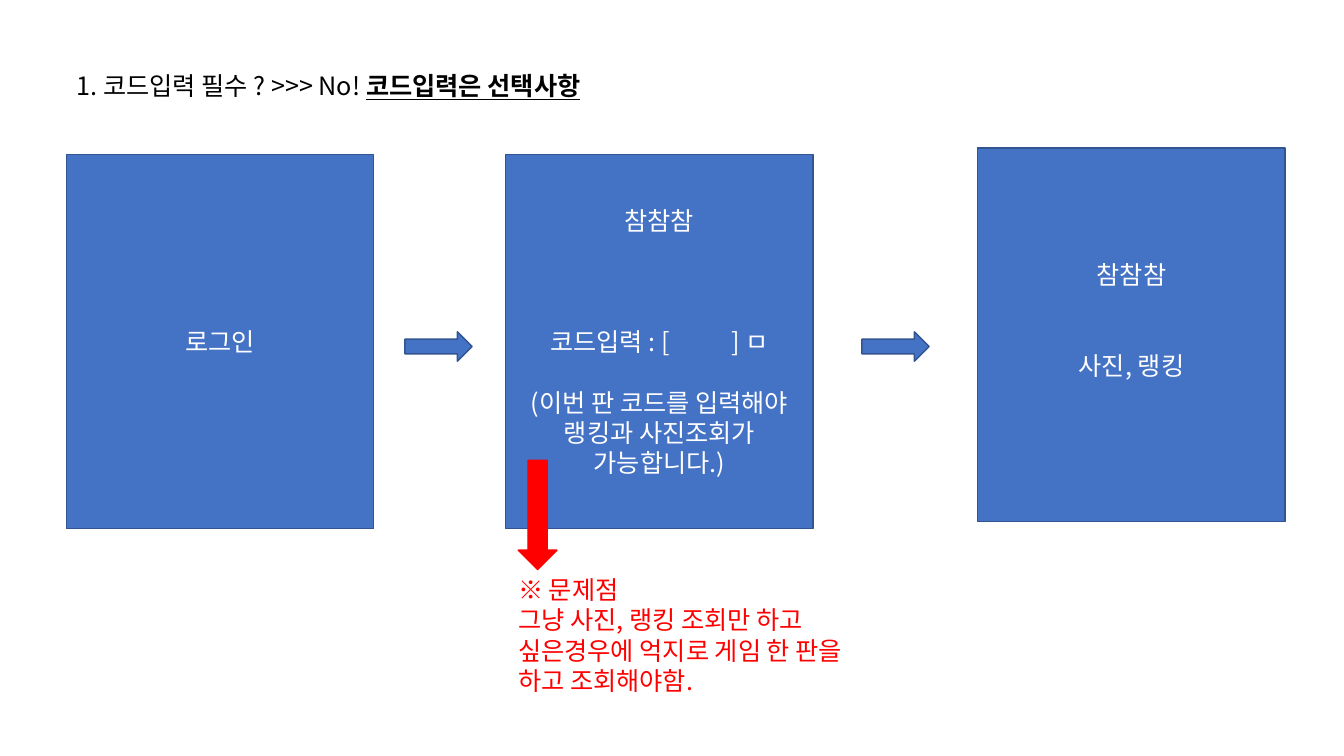
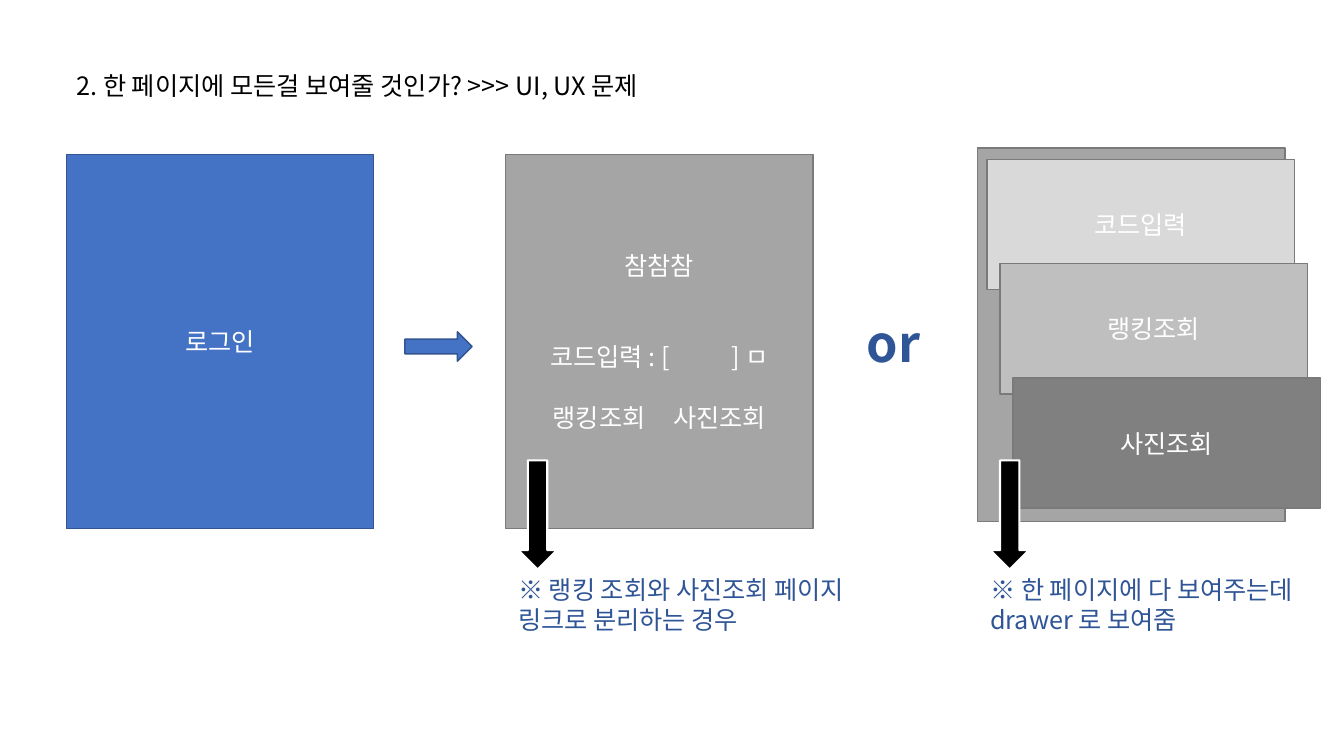
from dataclasses import dataclass

from lxml.etree import SubElement
from pptx import Presentation
from pptx.dml.color import RGBColor
from pptx.enum.shapes import MSO_SHAPE
from pptx.enum.text import MSO_ANCHOR, MSO_AUTO_SIZE, PP_ALIGN
from pptx.oxml.ns import qn
from pptx.util import Emu, Inches, Pt

COLORS = {
    "blue": "4472C4", "blue_edge": "325491", "navy": "2F5597",
    "gray": "A5A5A5", "gray_edge": "7A7A7A", "light": "D9D9D9",
    "silver": "BFBFBF", "dark": "808080", "red": "FF0000",
    "black": "000000", "white": "FFFFFF",
}
FONT = "Noto Sans CJK KR"
BODY = 18
LEADING = 1.2
COLS, ROWS = 160, 90
WIDTH, HEIGHT = Inches(13.33), Inches(7.5)
PANEL_W, PANEL_H = 36.6, 44.5
CARD_H, CARD_STEP = 15.5, 1.55


@dataclass(frozen=True)
class Box:
    x: float
    y: float
    w: float
    h: float

    def emu(self) -> tuple:
        cw, rh = WIDTH / COLS, HEIGHT / ROWS
        return tuple(Emu(round(v)) for v in (self.x * cw, self.y * rh, self.w * cw, self.h * rh))


@dataclass(frozen=True)
class Style:
    fill: str
    line: str
    weight: float = 1


@dataclass(frozen=True)
class Run:
    text: str
    strong: bool = False
    underline: bool = False
    tracking: float = 0


@dataclass(frozen=True)
class Para:
    runs: tuple
    lines_before: int = 0


BLUE = Style("blue", "blue_edge")
GRAY = Style("gray", "gray_edge")
RED = Style("red", "red")
BLACK = Style("black", "white", 1.5)

LEFT, MIDDLE, RIGHT = (
    Box(x, y, PANEL_W, PANEL_H) for x, y in ((7.9, 18.4), (60.2, 18.4), (116.4, 17.6))
)


def para(text: str, lines_before: int = 0) -> Para:
    return Para((Run(text),), lines_before)


LOGIN = (para("로그인"),)
CODE_ENTRY = (Run("코드입력 : ["), Run(" ", tracking=40), Run("] ㅁ"))


def write(tf, paras: tuple, color: str, align=PP_ALIGN.LEFT,
          anchor=MSO_ANCHOR.TOP, size: int = BODY) -> None:
    tf.word_wrap = True
    tf.auto_size = MSO_AUTO_SIZE.NONE
    tf.vertical_anchor = anchor
    tf.margin_left = tf.margin_right = Inches(0.1)
    tf.margin_top = tf.margin_bottom = Inches(0.05)
    for i, item in enumerate(paras):
        p = tf.add_paragraph() if i else tf.paragraphs[0]
        p.alignment = align
        p.line_spacing = Pt(size * LEADING)
        p.space_before = Pt(size * LEADING * item.lines_before)
        for run in item.runs:
            r = p.add_run()
            r.text = run.text
            r.font.name = FONT
            r.font.size = Pt(size)
            r.font.bold = run.strong
            r.font.underline = run.underline
            r.font.color.rgb = RGBColor.from_string(COLORS[color])
            rpr = r.font._element
            SubElement(rpr, qn("a:ea")).set("typeface", FONT)
            if run.tracking:
                rpr.set("spc", str(round(run.tracking * 100)))


def add_block(s, kind, box: Box, style: Style):
    sp = s.shapes.add_shape(kind, *box.emu())
    sp.shadow.inherit = False
    sp.fill.solid()
    sp.fill.fore_color.rgb = RGBColor.from_string(COLORS[style.fill])
    sp.line.color.rgb = RGBColor.from_string(COLORS[style.line])
    sp.line.width = Pt(style.weight)
    return sp


def add_panel(s, box: Box, style: Style, paras: tuple = (), lines_after: int = 0) -> None:
    sp = add_block(s, MSO_SHAPE.RECTANGLE, box, style)
    if paras:
        tf = sp.text_frame
        write(tf, paras, "white", PP_ALIGN.CENTER, MSO_ANCHOR.MIDDLE)
        tf.margin_bottom += Pt(BODY * LEADING * lines_after)


def add_step_arrow(s, x: float) -> None:
    add_block(s, MSO_SHAPE.RIGHT_ARROW, Box(x, 39.5, 8, 3.5), BLUE)


def add_text(s, box: Box, paras: tuple, color: str, size: int = BODY) -> None:
    write(s.shapes.add_textbox(*box.emu()).text_frame, paras, color, size=size)


def add_note(s, panel: Box, paras: tuple, color: str, arrow: Style, lines: int) -> None:
    add_text(s, Box(panel.x + 0.3, 67.8, 41.3, 1.2 + 3.6 * lines), paras, color)
    sp = add_block(s, MSO_SHAPE.RIGHT_ARROW, Box(panel.x - 2.7, 59, 13, 4.6), arrow)
    sp.rotation = 90


def new_slide(prs, *title: Run):
    s = prs.slides.add_slide(prs.slide_layouts[5])
    sp = s.shapes.title
    sp.left, sp.top, sp.width, sp.height = Box(LEFT.x, 7.8, 112, 4.8).emu()
    write(sp.text_frame, (Para(title),), "black")
    add_panel(s, LEFT, BLUE, LOGIN)
    add_step_arrow(s, 48.2)
    return s


def code_slide(prs) -> None:
    s = new_slide(prs, Run("1. 코드입력 필수 ? >>> No! "),
                  Run("코드입력은 선택사항", strong=True, underline=True))
    add_panel(s, MIDDLE, BLUE, (
        para("참참참"),
        Para(CODE_ENTRY, 3),
        para("(이번 판 코드를 입력해야 랭킹과 사진조회가 가능합니다.)", 1),
    ))
    add_step_arrow(s, 102.6)
    add_panel(s, RIGHT, BLUE, (para("참참참"), para("사진, 랭킹", 2)), lines_after=1)
    add_note(s, MIDDLE, (
        para("※ 문제점"),
        para("그냥 사진, 랭킹 조회만 하고 싶은경우에 억지로 게임 한 판을 하고 조회해야함."),
    ), "red", RED, 4)


def page_slide(prs) -> None:
    s = new_slide(prs, Run("2. 한 페이지에 모든걸 보여줄 것인가? >>> UI, UX 문제"))
    links = (Run("랭킹조회"), Run(" ", tracking=16), Run("사진조회"))
    add_panel(s, MIDDLE, GRAY, (para("참참참"), Para(CODE_ENTRY, 2), Para(links, 1)))
    add_text(s, Box(102, 36.6, 8.9, 8.5), (Para((Run("or", strong=True),)),), "navy", 36)
    add_panel(s, RIGHT, GRAY)
    cards = ((19, "light", "코드입력"), (31.4, "silver", "랭킹조회"), (45, "dark", "사진조회"))
    for i, (y, fill, label) in enumerate(cards):
        box = Box(RIGHT.x + 1.1 + i * CARD_STEP, y, PANEL_W, CARD_H)
        add_panel(s, box, Style(fill, "gray_edge"), (para(label),))
    notes = (
        (MIDDLE, "※ 랭킹 조회와 사진조회 페이지 링크로 분리하는 경우"),
        (RIGHT, "※ 한 페이지에 다 보여주는데 drawer 로 보여줌"),
    )
    for panel, text in notes:
        add_note(s, panel, (para(text),), "navy", BLACK, 2)


def main() -> None:
    prs = Presentation()
    prs.slide_width, prs.slide_height = WIDTH, HEIGHT
    code_slide(prs)
    page_slide(prs)
    prs.save("out.pptx")


if __name__ == "__main__":
    main()
